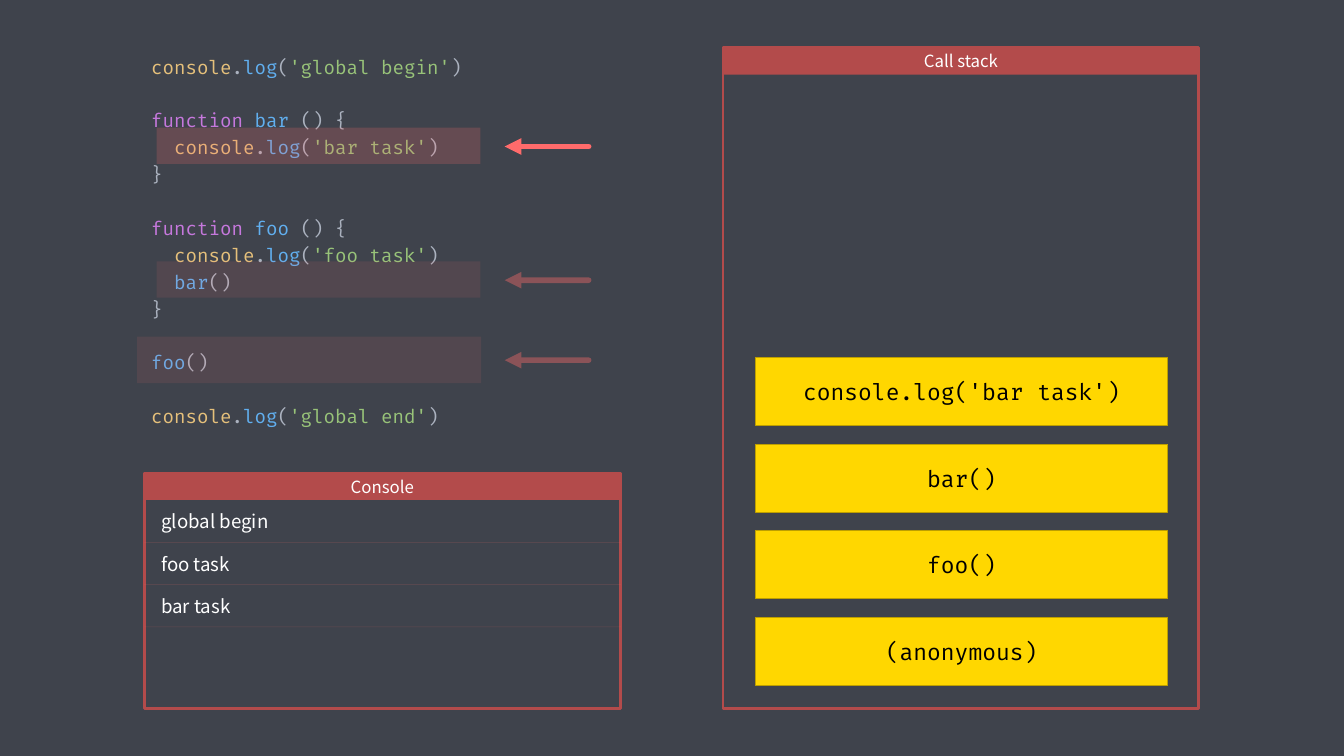
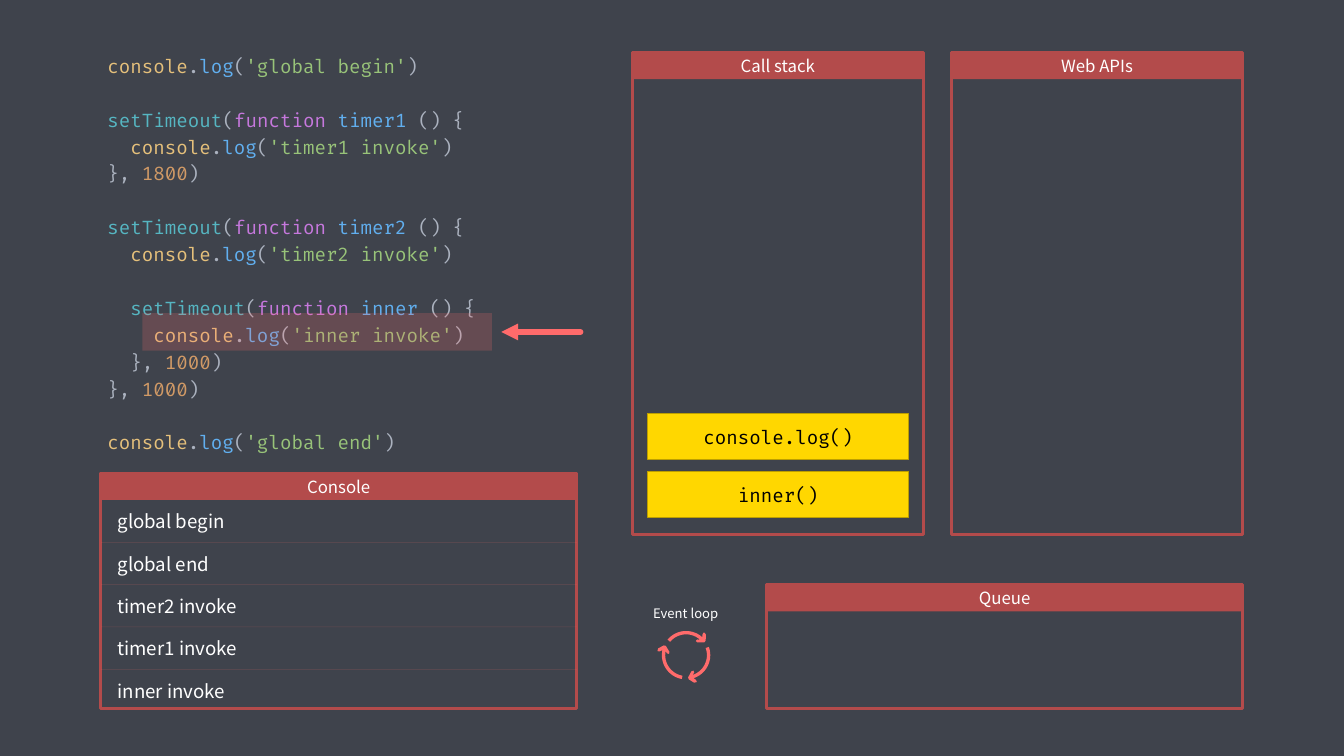
"""Two dark slides that step code through the call stack and the event loop."""
from math import cos, radians, sin

from lxml import etree
from pptx import Presentation
from pptx.dml.color import RGBColor
from pptx.enum.shapes import MSO_CONNECTOR, MSO_SHAPE
from pptx.enum.text import MSO_ANCHOR, PP_ALIGN
from pptx.oxml.ns import qn
from pptx.util import Inches, Pt

RECT = MSO_SHAPE.RECTANGLE
LINE = MSO_CONNECTOR.STRAIGHT
LEFT, MID = PP_ALIGN.LEFT, PP_ALIGN.CENTER
TOP, CORE = MSO_ANCHOR.TOP, MSO_ANCHOR.MIDDLE

MONO, SANS = "Fira Code", "Noto Sans CJK SC"
DARK, BRICK, CORAL, GOLD, RIM = "3F434C", "B34B4B", "FF6B6B", "FFD700", "BD9F00"
WHITE, BLACK, GREY, GREEN, AMBER = "FFFFFF", "000000", "ABB2BF", "98C379", "D19A66"
HUES = {"console": "E5C07B", "function": "C678DD", "setTimeout": "56B6C2"}
HUES.update(dict.fromkeys(
    ["log", "bar", "foo", "timer1", "timer2", "inner"], "61AFEF"))

SLIDES = [
    {
        "code": (2.15, 0.71, 7.7, 5.74, [
            ["console|.|log|(|'global begin'|)"],
            ["function |bar| () {",
             "  |console|.|log|(|'bar task'|)",
             "}"],
            ["function |foo| () {",
             "  |console|.|log|(|'foo task'|)",
             "  |bar|()",
             "}"],
            ["foo|()"],
            ["console|.|log|(|'global end'|)"],
        ]),
        "panels": [("Console", 2.15, 7.04, 7.08, 3.5),
                   ("Call stack", 10.76, 0.71, 7.08, 9.83)],
        "logs": (2.15, ["global begin", "foo task", "bar task"]),
        "marks": [(2.33, 1.9, 4.82, 0.54, 20), (2.33, 3.89, 4.82, 0.54, 10),
                  (2.04, 5.01, 5.12, 0.69, 10)],
        "arrows": [(8.76, 7.51, 2.18, 100), (8.76, 7.51, 4.17, 40),
                   (8.76, 7.51, 5.36, 40)],
        "stack": (11.24, 5.32, 6.14, 1.01, 1.29, 24,
                  ["console.log('bar task')", "bar()", "foo()", "(anonymous)"]),
    },
    {
        "code": (1.5, 0.7, 5.7, 6.14, [
            ["console|.|log|(|'global begin'|)"],
            ["setTimeout|(|function |timer1| () {",
             "  |console|.|log|(|'timer1 invoke'|)",
             "}, |1800|)"],
            ["setTimeout|(|function |timer2| () {",
             "  |console|.|log|(|'timer2 invoke'|)"],
            ["  |setTimeout|(|function |inner| () {",
             "    |console|.|log|(|'inner invoke'|)",
             "  }, |1000|)",
             "}, |1000|)"],
            ["console|.|log|(|'global end'|)"],
        ]),
        "panels": [("Console", 1.5, 7.04, 7.08, 3.5),
                   ("Call stack", 9.41, 0.78, 4.33, 7.18),
                   ("Queue", 11.41, 8.7, 7.08, 1.84),
                   ("Web APIs", 14.16, 0.78, 4.33, 7.18)],
        "logs": (1.5, ["global begin", "global end", "timer2 invoke",
                       "timer1 invoke", "inner invoke"]),
        "marks": [(2.12, 4.66, 5.2, 0.56, 20)],
        "arrows": [(8.64, 7.46, 4.94, 100)],
        "stack": (9.64, 6.16, 3.88, 0.68, 0.86, 20, ["console.log()", "inner()"]),
        "loop": ("Event loop", 10.21, 9.75),
    },
]

HEAD = [(0.12, 0.26), (0.11, 0.23), (0.08, 0.24), (0.03, 0.33),
        (0.04, 0.36), (0.12, 0.41), (0.16, 0.4), (0.15, 0.37)]
ROW, RULES = 0.63, 4


def rgb(tone):
    return RGBColor.from_string(tone)


def fade(item, share):
    if share < 100:
        for node in item.element.spPr.iter(qn("a:srgbClr")):
            etree.SubElement(node, qn("a:alpha"), val=str(share * 1000))


def add_run(para, text, size, face, tone):
    run = para.add_run()
    run.text = text
    run.font.size, run.font.name = Pt(size), face
    run.font.color.rgb = rgb(tone)


def write(item, text, size, face, tone, align=MID, wrap=True):
    frame = item.text_frame
    frame.word_wrap, frame.vertical_anchor = wrap, CORE
    para = frame.paragraphs[0]
    para.alignment = align
    add_run(para, text, size, face, tone)


def style(item, fill=None, edge=None, width=0):
    item.shadow.inherit = False
    if fill:
        item.fill.solid()
        item.fill.fore_color.rgb = rgb(fill)
    else:
        item.fill.background()
    if edge:
        item.line.color.rgb = rgb(edge)
        item.line.width = Pt(width)
    else:
        item.line.fill.background()


def add_rect(shapes, box, fill=None, edge=None, width=0):
    item = shapes.add_shape(RECT, *map(Inches, box))
    style(item, fill, edge, width)
    return item


def add_line(shapes, x, end, y, width, share):
    item = shapes.add_connector(LINE, *map(Inches, (x, y, end, y)))
    item.line.color.rgb = rgb(CORAL)
    item.line.width = Pt(width)
    fade(item, share)
    etree.SubElement(item.element.spPr, qn("a:effectLst"))
    return item


def add_arrow(shapes, x, end, y, share):
    item = add_line(shapes, x, end, y, 6, share)
    stroke = item.element.spPr.find(qn("a:ln"))
    stroke.set("cap", "rnd")
    etree.SubElement(stroke, qn("a:tailEnd"), type="triangle")


def hue(token):
    if token.startswith("'"):
        return GREEN
    return AMBER if token.isdigit() else HUES.get(token.strip(), GREY)


def add_code(shapes, x, y, wide, high, blocks):
    frame = shapes.add_textbox(*map(Inches, (x, y, wide, high))).text_frame
    frame.word_wrap, frame.vertical_anchor = True, TOP
    para = None
    for block in blocks:
        for spot, text in enumerate(block):
            gap = para is not None and spot == 0
            para = frame.add_paragraph() if para is not None else frame.paragraphs[0]
            para.line_spacing = 1.2
            if gap:
                para.space_before = Pt(28.8)
            for token in text.split("|"):
                add_run(para, token, 20, MONO, hue(token))


def add_panel(shapes, title, x, y, wide, high):
    parts = shapes.add_group_shape().shapes
    add_rect(parts, (x, y, wide, high), edge=BRICK, width=3)
    bar = add_rect(parts, (x, y, wide, 0.4), fill=BRICK)
    write(bar, title, 18, SANS, WHITE)


def add_logs(shapes, x, logs):
    for spot, text in enumerate(logs):
        y = 7.54 + ROW * spot
        box = shapes.add_textbox(*map(Inches, (x + 0.15, y, 6.81, 0.44)))
        write(box, text, 20, SANS, WHITE, LEFT)
        if spot < RULES:
            add_line(shapes, x, x + 7.09, y + 0.53, 0.5, 20)


def add_stack(shapes, x, y, wide, high, step, size, calls):
    for spot, call in enumerate(calls):
        item = add_rect(shapes, (x, y + step * spot, wide, high), GOLD, RIM, 1)
        write(item, call, size, MONO, BLACK)


def add_loop(shapes, text, x, y):
    box = shapes.add_textbox(*map(Inches, (x - 0.59, y - 0.79, 1.17, 0.34)))
    write(box, text, 14, SANS, WHITE, wrap=False)
    arc = [(cos(radians(a)), sin(radians(a))) for a in range(-20, 73, 4)]
    inner = [(0.31 * u, 0.31 * v) for u, v in arc]
    outer = [(0.36 * u, 0.36 * v) for u, v in reversed(arc)]
    parts = shapes.add_group_shape().shapes
    for turn in (0, 120, 240):
        c, s = cos(radians(turn)), sin(radians(turn))
        dots = [(Inches(x + u * c - v * s), Inches(y + u * s + v * c))
                for u, v in inner + HEAD + outer]
        pen = parts.build_freeform(*dots[0])
        pen.add_line_segments(dots[1:], close=True)
        style(pen.convert_to_shape(), CORAL)


def add_slide(deck, data):
    slide = deck.slides.add_slide(deck.slide_layouts[6])
    slide.background.fill.solid()
    slide.background.fill.fore_color.rgb = rgb(DARK)
    shapes = slide.shapes
    add_code(shapes, *data["code"])
    for panel in data["panels"]:
        add_panel(shapes, *panel)
    add_logs(shapes, *data["logs"])
    for *box, share in data["marks"]:
        fade(add_rect(shapes, box, CORAL), share)
    for arrow in data["arrows"]:
        add_arrow(shapes, *arrow)
    add_stack(shapes, *data["stack"])
    if "loop" in data:
        add_loop(shapes, *data["loop"])


def main():
    deck = Presentation()
    deck.slide_width, deck.slide_height = Inches(20), Inches(11.25)
    for data in SLIDES:
        add_slide(deck, data)
    deck.save("out.pptx")


if __name__ == "__main__":
    main()
